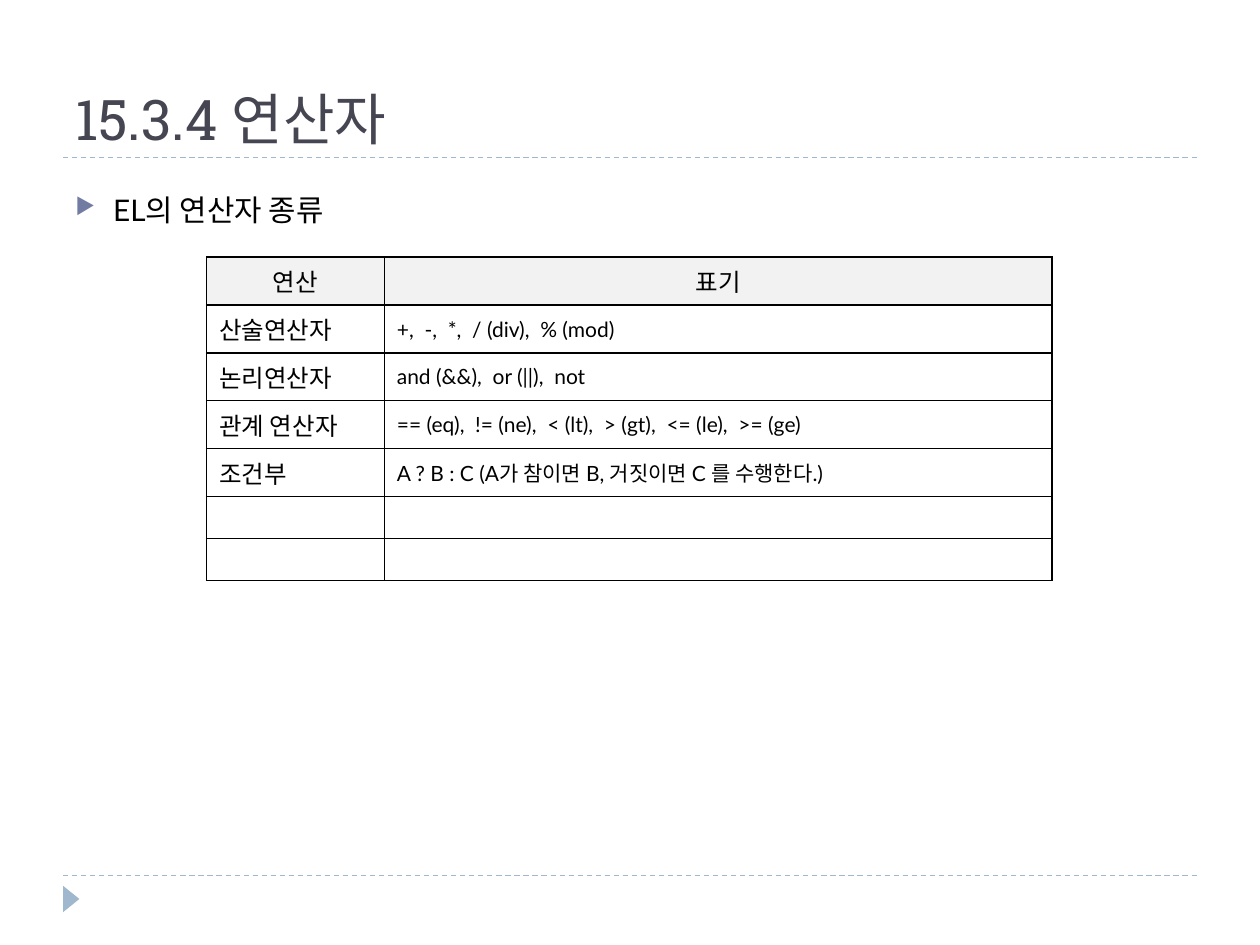
from lxml import etree
from pptx import Presentation
from pptx.dml.color import RGBColor
from pptx.enum import dml, shapes, text
from pptx.oxml import ns, parse_xml
from pptx.util import Inches, Pt

BLACK = RGBColor(0x00, 0x00, 0x00)
TITLE = RGBColor(0x46, 0x46, 0x53)
ACCENT = RGBColor(0x9F, 0xB8, 0xCD)
BULLET = RGBColor(0x72, 0x7C, 0xA3)
HEADER = RGBColor(0xF2, 0xF2, 0xF2)


def style_paragraph(paragraph, size, color=BLACK, name="Lato"):
    paragraph.font.size = Pt(size)
    paragraph.font.name = name
    paragraph.font.color.rgb = color


def add_text(slide, top, height, anchor, content):
    box = slide.shapes.add_textbox(Inches(0.5), Inches(top), Inches(9), Inches(height))
    box.text_frame.word_wrap = True
    box.text_frame.vertical_anchor = anchor
    paragraph = box.text_frame.paragraphs[0]
    paragraph.text = content
    return paragraph


presentation = Presentation()
presentation.slide_width = Inches(10)
presentation.slide_height = Inches(7.5)
slide = presentation.slides.add_slide(presentation.slide_layouts[6])

# Dashed rules
for y in (6.95, 1.25):
    rule = slide.shapes.add_connector(
        shapes.MSO_CONNECTOR.STRAIGHT, Inches(0.5), Inches(y), Inches(9.5), Inches(y))
    rule.line.color.rgb = ACCENT
    rule.line.width = Pt(0.75)
    rule.line.dash_style = dml.MSO_LINE.DASH
    etree.SubElement(rule._element.spPr, ns.qn("a:effectLst"))

# Footer marker
marker = slide.shapes.add_shape(
    shapes.MSO_SHAPE.ISOSCELES_TRIANGLE, Inches(0.46), Inches(7.07), Inches(0.21), Inches(0.13))
marker.rotation = 90
marker.shadow.inherit = False
marker.fill.solid()
marker.fill.fore_color.rgb = ACCENT
marker.line.fill.background()

# Title
title = add_text(slide, 0.17, 1.08, text.MSO_ANCHOR.BOTTOM, "15.3.4 연산자")
style_paragraph(title, 32, TITLE, "Roboto Slab")

# Bullet
bullet = add_text(slide, 1.33, 5.4, text.MSO_ANCHOR.TOP, "EL의 연산자 종류")
bullet.line_spacing = 1.5
bullet.space_before = Pt(6)
style_paragraph(bullet, 17)
properties = bullet._p.get_or_add_pPr()
properties.set("marL", str(Inches(0.3)))
properties.set("indent", str(-Inches(0.3)))
defaults = properties.find(ns.qn("a:defRPr"))
for markup in (
    f'<a:buClr {ns.nsdecls("a")}><a:srgbClr val="{BULLET}"/></a:buClr>',
    f'<a:buSzPct {ns.nsdecls("a")} val="76000"/>',
    f'<a:buChar {ns.nsdecls("a")} char="▶"/>',
):
    defaults.addprevious(parse_xml(markup))

# Operator table
rows = [
    ("연산", "표기"),
    ("산술연산자", "+,  -,  *,  / (div),  % (mod)"),
    ("논리연산자", "and (&&),  or (||),  not"),
    ("관계 연산자", "== (eq),  != (ne),  < (lt),  > (gt),  <= (le),  >= (ge)"),
    ("조건부", "A ? B : C (A가 참이면 B, 거짓이면 C 를 수행한다.)"),
    ("", ""),
    ("", ""),
]
table = slide.shapes.add_table(
    len(rows), 2, Inches(1.64), Inches(2.04), Inches(6.71), Inches(2.56)).table
table.first_row = False
table.horz_banding = False
for column, width in zip(table.columns, (1.41, 5.3)):
    column.width = Inches(width)

for row_index, row in enumerate(rows):
    table.rows[row_index].height = Inches(0.38 if row[0] else 0.33)
    for column_index, content in enumerate(row):
        cell = table.cell(row_index, column_index)
        cell.vertical_anchor = text.MSO_ANCHOR.MIDDLE
        paragraph = cell.text_frame.paragraphs[0]
        size = 12 if row_index and column_index else 14
        style_paragraph(paragraph, size)
        if content:
            paragraph.text = content
        else:
            etree.SubElement(paragraph._p, ns.qn("a:endParaRPr"), sz=str(size * 100))
        cell_properties = cell._tc.get_or_add_tcPr()
        for side in ("lnL", "lnR", "lnT", "lnB"):
            cell_properties.append(parse_xml(
                f'<a:{side} {ns.nsdecls("a")} w="{Pt(1)}"><a:solidFill>'
                f'<a:srgbClr val="{BLACK}"/></a:solidFill></a:{side}>'))
        if row_index == 0:
            paragraph.alignment = text.PP_ALIGN.CENTER
            cell.fill.solid()
            cell.fill.fore_color.rgb = HEADER
        else:
            cell.fill.background()

presentation.save("out.pptx")
